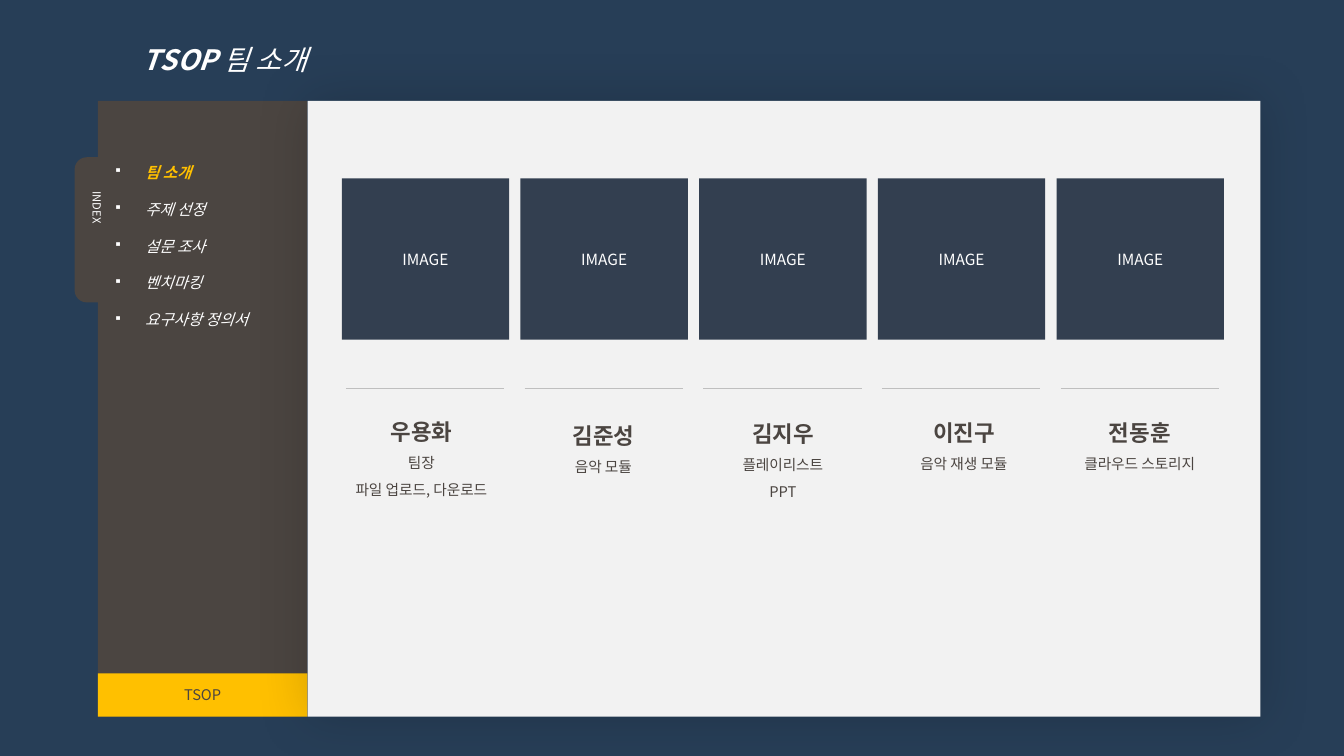
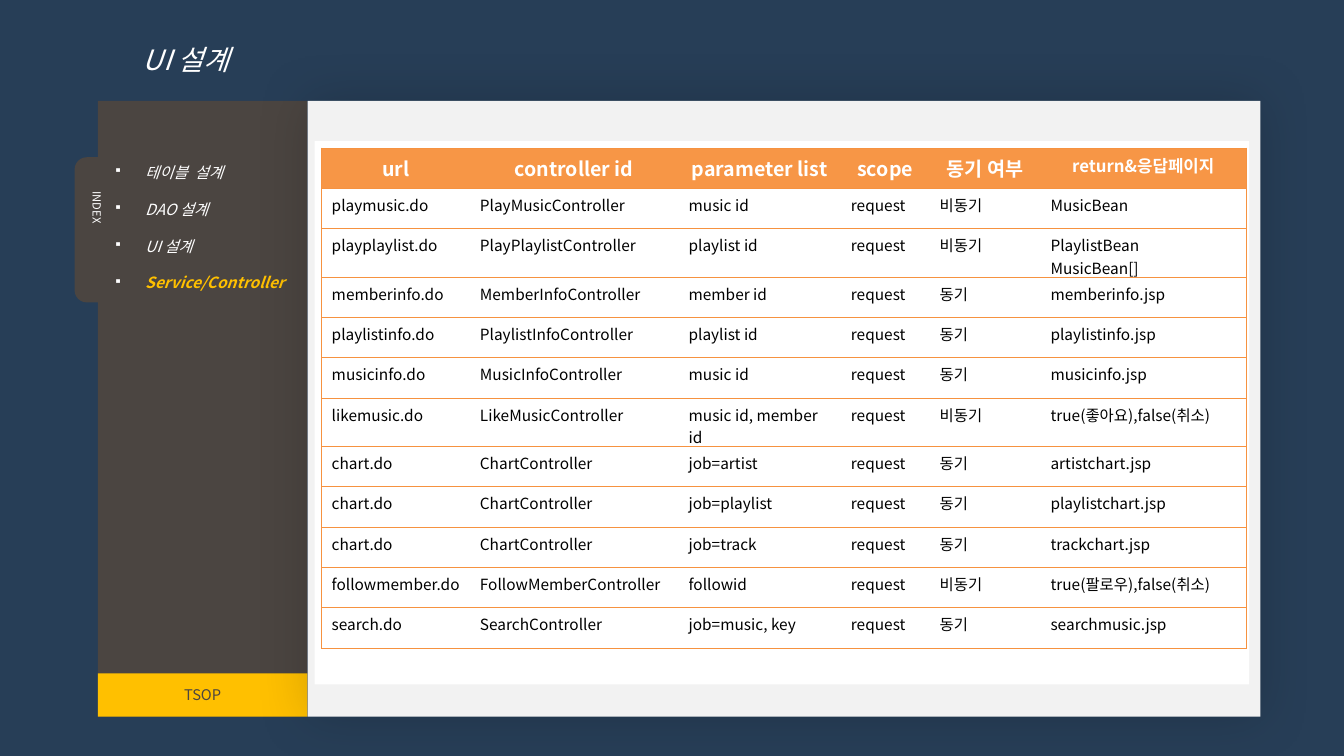
import pptx
import pptx.util
import pptx.dml.color
import pptx.enum.shapes
import pptx.enum.text
import pptx.oxml
import pptx.oxml.ns

Inches, Pt = pptx.util.Inches, pptx.util.Pt
RGBColor = pptx.dml.color.RGBColor
SHAPE = pptx.enum.shapes.MSO_SHAPE
ALIGN = pptx.enum.text.PP_ALIGN
ANCHOR = pptx.enum.text.MSO_ANCHOR
qn = pptx.oxml.ns.qn

FONT = "Noto Sans CJK KR"
NAVY = RGBColor(0x27, 0x3E, 0x57)
BROWN = RGBColor(0x4B, 0x45, 0x41)
YELLOW = RGBColor(0xFF, 0xC0, 0x00)
PAPER = RGBColor(0xF2, 0xF2, 0xF2)
SLATE = RGBColor(0x33, 0x3F, 0x50)
SILVER = RGBColor(0xBF, 0xBF, 0xBF)
ORANGE = RGBColor(0xF7, 0x96, 0x46)
RULE = RGBColor(0xF6, 0x92, 0x40)
WHITE = RGBColor(0xFF, 0xFF, 0xFF)
BLACK = RGBColor(0x00, 0x00, 0x00)

TEAM_TITLE = [("TSOP ", {"bold": True}), ("팀 소개", {})]
TEAM_MENU = ["팀 소개", "주제 선정", "설문 조사", "벤치마킹", "요구사항 정의서"]
MEMBERS = [
    ("우용화", ["팀장", "파일 업로드, 다운로드"], 3.35, 3.97, 1.66),
    ("김준성", ["음악 모듈"], 5.2, 4.01, 1.57),
    ("김지우", ["플레이리스트", "PPT"], 6.98, 3.99, 1.57),
    ("이진구", ["음악 재생 모듈"], 8.75, 3.98, 1.62),
    ("전동훈", ["클라우드 스토리지"], 10.52, 3.98, 1.57),
]
CARD_LEFT, LAST_CARD_LEFT, CARD_WIDTH = 3.39, 10.48, 1.66

DESIGN_MENU = ["테이블  설계", "DAO 설계", "UI 설계", "Service/Controller"]
COLUMNS = [
    ("url", 1.47), ("controller id", 2.07), ("parameter list", 1.61),
    ("scope", 0.88), ("동기 여부", 1.1), ("return&응답페이지", 2.04),
]
ROW_HEIGHT, TALL_ROW_HEIGHT = 0.4, 0.48
TALL_ROWS = {"playplaylist.do", "likemusic.do"}
SERVICES = [
    ("playmusic.do", "PlayMusicController", "music id", "비동기", "MusicBean"),
    ("playplaylist.do", "PlayPlaylistController", "playlist id", "비동기", "PlaylistBean\nMusicBean[]"),
    ("memberinfo.do", "MemberInfoController", "member id", "동기", "memberinfo.jsp"),
    ("playlistinfo.do", "PlaylistInfoController", "playlist id", "동기", "playlistinfo.jsp"),
    ("musicinfo.do", "MusicInfoController", "music id", "동기", "musicinfo.jsp"),
    ("likemusic.do", "LikeMusicController", "music id, member id", "비동기", "true(좋아요),false(취소)"),
    ("chart.do", "ChartController", "job=artist", "동기", "artistchart.jsp"),
    ("chart.do", "ChartController", "job=playlist", "동기", "playlistchart.jsp"),
    ("chart.do", "ChartController", "job=track", "동기", "trackchart.jsp"),
    ("followmember.do", "FollowMemberController", "followid", "비동기", "true(팔로우),false(취소)"),
    ("search.do", "SearchController", "job=music, key", "동기", "searchmusic.jsp"),
]


def xml(markup):
    return pptx.oxml.parse_xml(f'<a:root {pptx.oxml.ns.nsdecls("a")}>{markup}</a:root>')[0]


def add_bullet(p):
    pPr = p._p.get_or_add_pPr()
    pPr.set("marL", str(Inches(0.31)))
    pPr.set("indent", str(-Inches(0.31)))
    pPr.append(xml(f'<a:buClr><a:srgbClr val="{WHITE}"/></a:buClr>'))
    pPr.append(xml('<a:buSzPct val="75000"/>'))
    pPr.append(xml('<a:buChar char="▪"/>'))


def write(tf, paragraphs, size=11, color=WHITE, bold=False, italic=False,
          align=ALIGN.LEFT, spacing=None, bullet=False):
    for i, runs in enumerate(paragraphs):
        p = tf.paragraphs[0] if i == 0 else tf.add_paragraph()
        if bullet:
            add_bullet(p)
        p.alignment = align
        if spacing:
            p.line_spacing = spacing
        for text, own in [(runs, {})] if isinstance(runs, str) else runs:
            r = p.add_run()
            r.text = text
            r.font.name = FONT
            r.font.size = Pt(own.get("size", size))
            r.font.bold = own.get("bold", bold)
            r.font.italic = italic
            r.font.color.rgb = own.get("color", color)
            r._r.get_or_add_rPr().append(xml(f'<a:ea typeface="{FONT}"/>'))


def add_box(s, left, top, width, height, fill, kind=SHAPE.RECTANGLE):
    sp = s.shapes.add_shape(kind, Inches(left), Inches(top), Inches(width), Inches(height))
    sp.shadow.inherit = False
    sp.fill.solid()
    sp.fill.fore_color.rgb = fill
    sp.line.fill.background()
    sp.text_frame.vertical_anchor = ANCHOR.MIDDLE
    return sp


def add_text(s, left, top, width, height, paragraphs, **style):
    sp = s.shapes.add_textbox(Inches(left), Inches(top), Inches(width), Inches(height))
    tf = sp.text_frame
    tf.word_wrap = True
    tf.auto_size = pptx.enum.text.MSO_AUTO_SIZE.SHAPE_TO_FIT_TEXT
    write(tf, paragraphs, **style)
    return sp


def add_frame(prs, title, menu, current):
    s = prs.slides.add_slide(prs.slide_layouts[6])
    s.background.fill.solid()
    s.background.fill.fore_color.rgb = NAVY

    tf = add_box(s, 0.97, 1, 2.08, 6.11, BROWN).text_frame
    tf.vertical_anchor = ANCHOR.TOP
    tf.margin_left, tf.margin_top = Inches(0.16), Inches(0.43)
    active = {"color": YELLOW, "bold": True}
    write(tf, [[(item, active if item == current else {})] for item in menu],
          italic=True, spacing=2.0, bullet=True)

    tab = add_box(s, 0.14, 2.16, 1.44, 0.24, BROWN, SHAPE.ROUND_2_SAME_RECTANGLE)
    tab.adjustments[0] = 0.5
    tab.rotation = 270
    footer = add_box(s, 0.97, 6.68, 2.08, 0.43, YELLOW)
    write(footer.text_frame, ["TSOP"], size=10.5, color=BROWN, align=ALIGN.CENTER)
    index = add_text(s, 0.74, 1.8, 0.34, 1.01, ["INDEX"], size=8)
    index.text_frame._txBody.bodyPr.set("vert", "eaVert")

    panel = add_box(s, 3.05, 1, 9.45, 6.11, PAPER)
    panel._element.spPr.find(qn("a:effectLst")).append(xml(
        f'<a:outerShdw blurRad="{Pt(38)}" dist="0" dir="0" algn="ctr" rotWithShape="0">'
        f'<a:srgbClr val="{BLACK}"><a:alpha val="17000"/></a:srgbClr></a:outerShdw>'))
    add_text(s, 1.32, 0.21, 4.36, 0.55, [title], size=20, italic=True, spacing=1.5)
    return s


def add_rule(s, left, top, width):
    line = s.shapes.add_connector(pptx.enum.shapes.MSO_CONNECTOR.STRAIGHT,
                                  Inches(left), Inches(top), Inches(left + width), Inches(top))
    line.line.color.rgb = SILVER
    line.line.width = Pt(0.5)
    line._element.spPr.append(xml("<a:effectLst/>"))


def add_team(s):
    pitch = (LAST_CARD_LEFT - CARD_LEFT) / (len(MEMBERS) - 1)
    for i, (name, roles, left, top, width) in enumerate(MEMBERS):
        card_left = CARD_LEFT + i * pitch
        card = add_box(s, card_left, 1.77, CARD_WIDTH, 1.6, SLATE)
        write(card.text_frame, ["IMAGE"], align=ALIGN.CENTER)
        add_rule(s, card_left + 0.04, 3.85, 1.57)
        heading = [(name, {"size": 16, "bold": True})]
        add_text(s, left, top, width, 0.5 + 0.27 * len(roles), [heading] + roles,
                 size=10.5, color=BROWN, align=ALIGN.CENTER, spacing=1.5)


def add_borders(cell, sides):
    tcPr = cell._tc.get_or_add_tcPr()
    for i, side in enumerate(sides):
        tcPr.insert(i, xml(f'<a:ln{side} w="{Pt(0.75)}"><a:solidFill><a:srgbClr val="{RULE}"/>'
                           f'</a:solidFill></a:ln{side}>'))


def add_services(s):
    add_box(s, 3.12, 1.4, 9.27, 5.39, WHITE)
    headers = [name for name, width in COLUMNS]
    rows = [headers] + [row[:3] + ("request",) + row[3:] for row in SERVICES]
    heights = [TALL_ROW_HEIGHT if row[0] in TALL_ROWS else ROW_HEIGHT for row in rows]
    last = len(COLUMNS) - 1
    frame = s.shapes.add_table(len(rows), len(COLUMNS), Inches(3.19), Inches(1.47),
                               Inches(sum(width for name, width in COLUMNS)),
                               Inches(sum(heights)))
    table = frame.table
    table.horz_banding = False
    table._tbl.tblPr.find(qn("a:tableStyleId")).text = "{2D5ABB26-0587-4C30-8999-92F81FD0307C}"
    for column, (name, width) in zip(table.columns, COLUMNS):
        column.width = Inches(width)
    for i, row in enumerate(rows):
        table.rows[i].height = Inches(heights[i])
        for j, text in enumerate(row):
            cell = table.cell(i, j)
            if i == 0:
                cell.fill.solid()
                cell.fill.fore_color.rgb = ORANGE
                write(cell.text_frame, [text], size=12 if j == last else 14,
                      bold=True, align=ALIGN.CENTER)
            else:
                cell.fill.background()
                cell.margin_bottom = 0
                if j == 0:
                    cell.margin_right = Inches(0.02)
                write(cell.text_frame, text.split("\n"), color=BLACK)
            add_borders(cell, ["L"] * (j == 0) + ["R"] * (j == last) + ["T", "B"])


def main():
    prs = pptx.Presentation()
    prs.slide_width, prs.slide_height = Inches(13.33), Inches(7.5)
    add_team(add_frame(prs, TEAM_TITLE, TEAM_MENU, "팀 소개"))
    add_services(add_frame(prs, "UI 설계", DESIGN_MENU, "Service/Controller"))
    prs.save("out.pptx")


if __name__ == "__main__":
    main()
